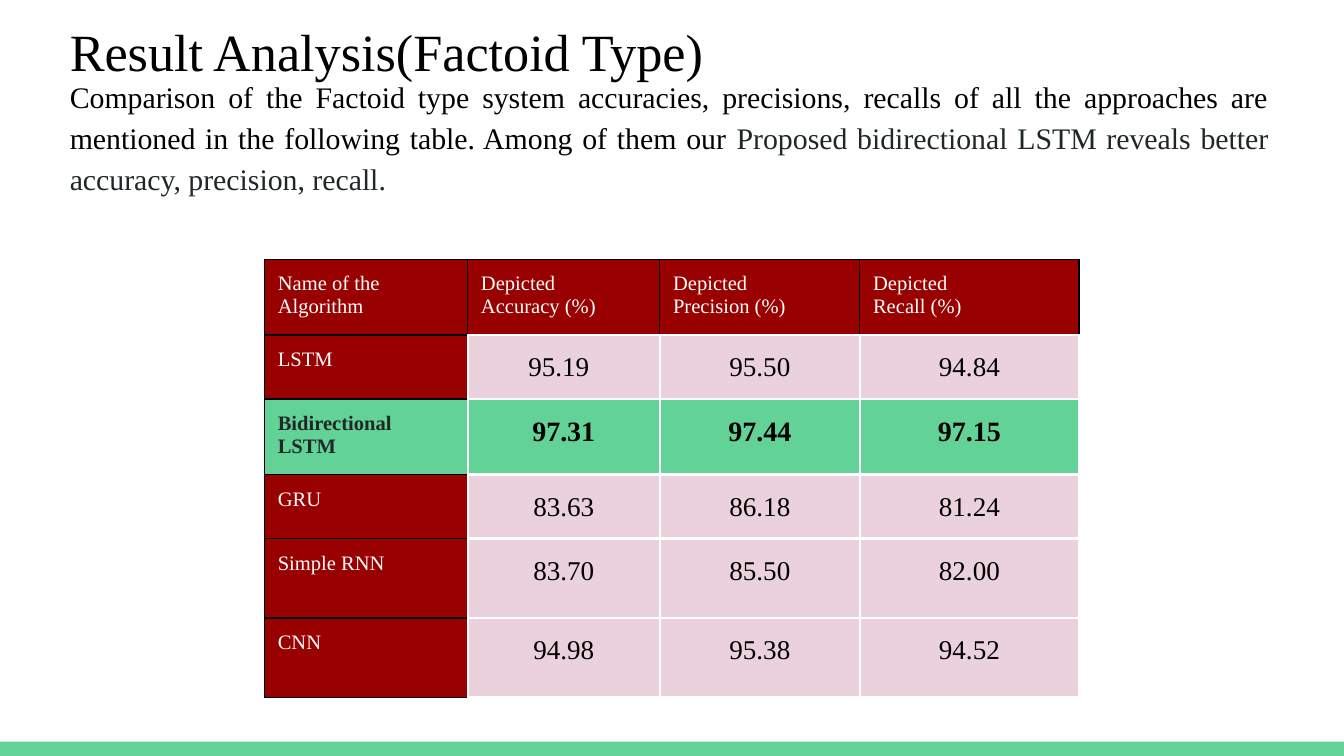
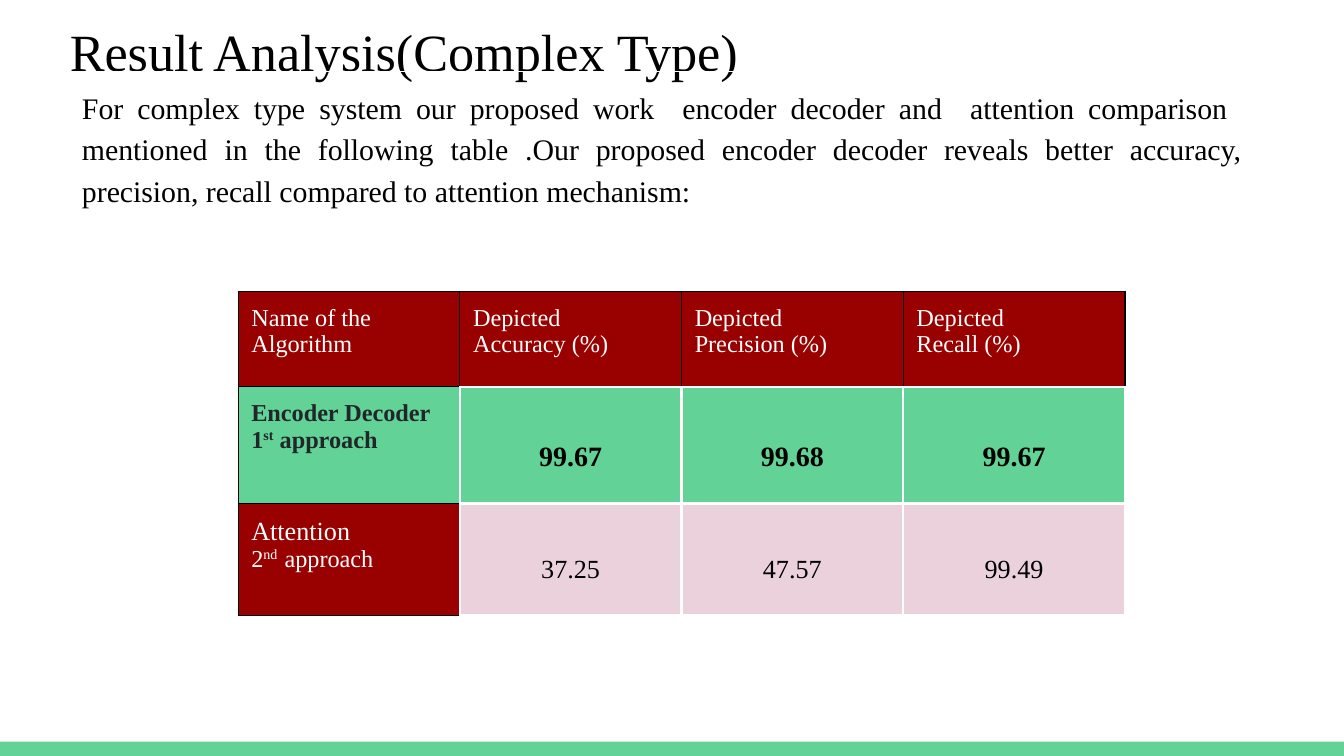
from pptx import Presentation
from pptx.dml.color import RGBColor as Rgb
from pptx.enum.shapes import MSO_SHAPE as Shape
from pptx.enum.text import MSO_ANCHOR as Anchor, PP_ALIGN as Align
from pptx.oxml.ns import qn
from pptx.util import Cm, Pt
from lxml.etree import SubElement as Sub

BLACK = Rgb(0x00, 0x00, 0x00)
WHITE = Rgb(0xFF, 0xFF, 0xFF)
GREEN = Rgb(0x63, 0xD2, 0x97)
RED = Rgb(0x99, 0x00, 0x00)
PINK = Rgb(0xEA, 0xD1, 0xDC)
DARK = Rgb(0x20, 0x27, 0x29)
FONT = "Times New Roman"
WIDTH, HEIGHT = Cm(25.4), Cm(14.29)
INSET = Cm(0.25)
PROSE = {"alignment": Align.JUSTIFY, "line_spacing": 1.15, "space_before": Pt(10)}
VALUE = {"alignment": Align.CENTER, "line_spacing": 1.15}
LEFT = {"alignment": Align.LEFT}
PAD = {"margin_left": INSET, "margin_right": INSET,
       "margin_top": INSET, "margin_bottom": INSET}
HEADS = [["Name of the Algorithm"]] + [
    ["Depicted", f"{word} (%)"] for word in ("Accuracy", "Precision", "Recall")]


def style(item, look):
    for name, value in look.items():
        setattr(item, name, value)


def write(frame, lines, size, ink, look, bold=False):
    for row, line in enumerate(lines):
        para = frame.paragraphs[0] if row == 0 else frame.add_paragraph()
        style(para, look)
        for part in [line] if isinstance(line, str) else line:
            text, extra = (part, {}) if isinstance(part, str) else part
            run = para.add_run()
            run.text = text
            style(run.font, {"name": FONT, "bold": bold,
                             "size": extra.get("size", Pt(size))})
            run.font.color.rgb = extra.get("ink", ink)
            if "raised" in extra:
                run.font._element.set("baseline", "30000")


def block(shape, lines, size, look, **pad):
    frame = shape.text_frame
    style(frame, {**PAD, "word_wrap": True, "vertical_anchor": Anchor.TOP, **pad})
    write(frame, lines, size, BLACK, look)


def start(deck, title):
    slide = deck.slides.add_slide(deck.slide_layouts[6])
    band = slide.shapes.add_shape(Shape.RECTANGLE, 0, Cm(14.02), WIDTH, Cm(0.27))
    band.shadow.inherit = False
    band.fill.solid()
    band.fill.fore_color.rgb = GREEN
    band.line.fill.background()
    box = slide.shapes.add_textbox(Cm(1.07), 0, Cm(21.36), Cm(1.5))
    block(box, [title], 28, LEFT, margin_top=Cm(0.36), margin_bottom=0)
    return slide


def border(cell, row, col):
    props = cell._tc.get_or_add_tcPr()
    for side in "LRTB":
        pale = (row and col) or (side == "B" and col) or (side == "R" and row)
        ink, width = (WHITE, 1.5) if pale else (BLACK, 0.75)
        line = Sub(props, qn(f"a:ln{side}"), w=str(Pt(width)))
        Sub(Sub(line, qn("a:solidFill")), qn("a:srgbClr"), val=str(ink))


def grid(slide, left, top, widths, heights, data, best, label, value, gap=0):
    table = slide.shapes.add_table(
        len(heights), len(widths), Cm(left), Cm(top),
        Cm(sum(widths)), Cm(sum(heights))).table
    style(table, {"first_row": False, "horz_banding": False})
    for col, width in zip(table.columns, widths):
        col.width = Cm(width)
    for line, height in zip(table.rows, heights):
        line.height = Cm(height)
    for row, items in enumerate([HEADS] + data):
        top_row = row == best
        for col, lines in enumerate(items):
            cell = table.cell(row, col)
            style(cell, PAD)
            border(cell, row, col)
            inner = row > 0 and col > 0
            cell.fill.solid()
            cell.fill.fore_color.rgb = GREEN if top_row else PINK if inner else RED
            if inner:
                size = 15 if top_row else value
                cell.margin_top = INSET + Pt(size * 1.32 * gap)
                write(cell.text_frame, [lines], size, BLACK, VALUE, top_row)
            else:
                ink = DARK if top_row else WHITE
                write(cell.text_frame, lines, label, ink, LEFT, top_row)
    return table


def factoid(deck):
    slide = start(deck, "Result Analysis(Factoid Type)")
    box = slide.shapes.add_textbox(Cm(1.07), Cm(1.14), Cm(23.16), Cm(2.64))
    block(box, [[
        "Comparison of the Factoid type system accuracies, precisions, recalls of "
        "all the approaches are mentioned in the following table. Among of them our ",
        ("Proposed bidirectional LSTM reveals better accuracy, precision, recall.",
         {"ink": DARK})]], 16, PROSE)
    data = [
        [["LSTM"], "95.19", "95.50", "94.84"],
        [["Bidirectional LSTM"], "97.31", "97.44", "97.15"],
        [["GRU"], "83.63", "86.18", "81.24"],
        [["Simple RNN"], "83.70", "85.50", "82.00"],
        [["CNN"], "94.98", "95.38", "94.52"],
    ]
    table = grid(slide, 5, 4.9, [3.84, 3.63, 3.78, 4.14],
                 [1.4, 1.14, 1.3, 1.14, 1.5, 1.5], data, 2, 11, 14.5)
    table.cell(1, 1).margin_right = Cm(0.44)


def complex_type(deck):
    slide = start(deck, "Result Analysis(Complex Type)")
    box = slide.shapes.add_shape(
        Shape.RECTANGLE, Cm(1.3), Cm(1.35), Cm(22.43), Cm(3.23))
    box.shadow.inherit = False
    box.fill.background()
    box.line.color.rgb = WHITE
    box.line.width = Pt(0.75)
    block(box, [
        "For complex type system our proposed work  encoder decoder and  attention "
        "comparison  mentioned in the following table .Our proposed encoder decoder "
        "reveals better accuracy, precision, recall compared to attention mechanism:"],
        16, PROSE)
    data = [
        [["Encoder Decoder", ["1", ("st", {"raised": True}), " approach"]],
         "99.67", "99.68", "99.67"],
        [[[("Attention", {"size": Pt(14)})],
          ["2", ("nd  ", {"raised": True}), "approach"]],
         "37.25", "47.57", "99.49"],
    ]
    grid(slide, 4.5, 5.51, [4.19] * 4, [1.8, 2.21, 2.11], data, 1, 13, 14, gap=1)


def main():
    deck = Presentation()
    style(deck, {"slide_width": WIDTH, "slide_height": HEIGHT})
    factoid(deck)
    complex_type(deck)
    deck.save("out.pptx")


main()
